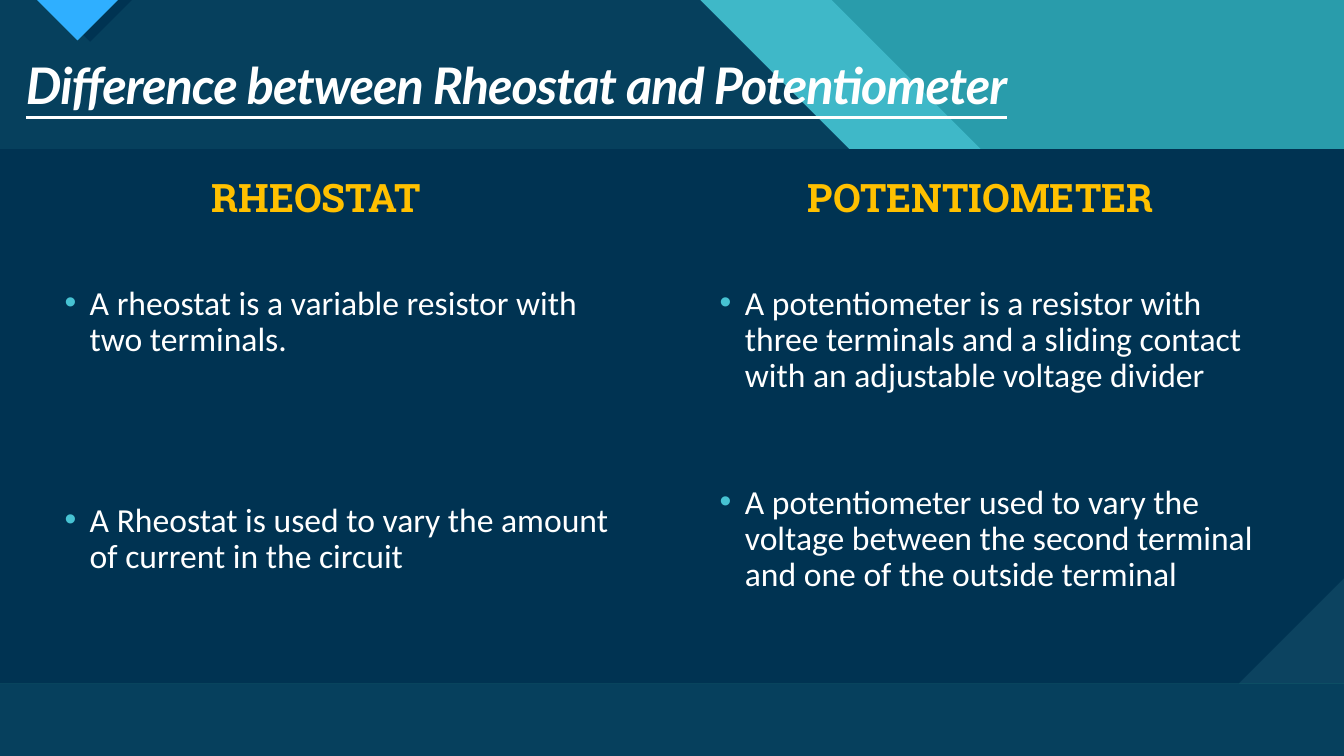
from lxml import etree
from pptx import Presentation
from pptx.dml.color import RGBColor
from pptx.enum.dml import MSO_PATTERN
from pptx.enum.shapes import MSO_SHAPE
from pptx.enum.text import MSO_ANCHOR, PP_ALIGN
from pptx.oxml.ns import qn
from pptx.util import Pt

RECTANGLE = MSO_SHAPE.RECTANGLE
SNIPPED = MSO_SHAPE.SNIP_1_RECTANGLE
DARK_VERTICAL = MSO_PATTERN.DARK_VERTICAL
DARK_HORIZONTAL = MSO_PATTERN.DARK_HORIZONTAL
MIDDLE = MSO_ANCHOR.MIDDLE
TOP = MSO_ANCHOR.TOP
LEFT = PP_ALIGN.LEFT
CENTER = PP_ALIGN.CENTER

WIDTH, HEIGHT = 960, 540
NAVY, TEAL, DEEP_TEAL, SHADE = "003352", "47C3D3", "299CAB", "1B6872"
SLATE, BLUE, GOLD, WHITE = "0C4360", "2FAFFF", "FFC000", "FFFFFF"

COLUMNS = [
    # heading, heading left, bullets left, gap between bullets, bullets
    ("RHEOSTAT", 82, 39, 103, [
        "A rheostat is a variable resistor with two terminals.",
        "A Rheostat is used to vary the amount of current in the circuit",
    ]),
    ("POTENTIOMETER", 556.5, 507, 64.3, [
        "A potentiometer is a resistor with three terminals and a sliding "
        "contact with an adjustable voltage divider",
        "A potentiometer used to vary the voltage between the second terminal "
        "and one of the outside terminal",
    ]),
]


def color(value):
    return RGBColor.from_string(value)


def paint(shape, fill, pattern=None, back=SHADE, opacity=100):
    """Fill a shape, solid or patterned, without outline or shadow."""
    shape.shadow.inherit = False
    shape.line.fill.background()
    if pattern:
        shape.fill.patterned()
        shape.fill.pattern = pattern
        shape.fill.fore_color.rgb = color(fill)
        shape.fill.back_color.rgb = color(back)
        return
    shape.fill.solid()
    shape.fill.fore_color.rgb = color(fill)
    if opacity < 100:
        tint = shape.fill._xPr.find(qn("a:solidFill"))[0]
        etree.SubElement(tint, qn("a:alpha")).set("val", str(opacity * 1000))


def add_preset(slide, kind, box):
    return slide.shapes.add_shape(kind, *map(Pt, box))


def add_polygon(slide, points):
    start, *others = [(Pt(x), Pt(y)) for x, y in points]
    builder = slide.shapes.build_freeform(*start)
    builder.add_line_segments(others, close=True)
    return builder.convert_to_shape()


def add_backdrop_layer(slide, box, shelf_start, shelf_end):
    """Cover the box, cut at 45 degrees above a shelf on its right side."""
    left, top, width, height = box
    right, bottom, drop = left + width, top + height, 214
    return add_polygon(slide, [
        (left, top), (left + shelf_start - drop, top),
        (left + shelf_start, top + drop), (left + shelf_end, top + drop),
        (right, top + drop + width - shelf_end), (right, bottom),
        (left, bottom),
    ])


def add_backdrop(slide, box):
    paint(add_preset(slide, RECTANGLE, box), DEEP_TEAL)
    paint(add_backdrop_layer(slide, box, 808, 888.5), TEAL, opacity=74)
    paint(add_backdrop_layer(slide, box, 714, 805), NAVY, opacity=90)


def add_pointer(slide, left, top, half):
    """Draw a triangle that hangs from the top edge."""
    return add_polygon(slide, [
        (left, top), (left + 2 * half, top), (left + half, top + half)])


def add_panel(slide, box):
    paint(add_preset(slide, RECTANGLE, box), SLATE, DARK_VERTICAL)
    panel = add_preset(slide, SNIPPED, box)
    panel.adjustments[0] = 0.197
    panel._element.spPr.xfrm.set("flipV", "1")
    paint(panel, NAVY)


def add_text_frame(slide, box, anchor=TOP):
    frame = slide.shapes.add_textbox(*map(Pt, box)).text_frame
    frame.word_wrap = True
    frame.vertical_anchor = anchor
    return frame


def write(paragraph, text, font_name, size, fill, alignment=LEFT):
    paragraph.alignment = alignment
    paragraph.line_spacing = 0.9
    run = paragraph.add_run()
    run.text = text
    run.font.name = font_name
    run.font.size = Pt(size)
    run.font.color.rgb = color(fill)
    return run


def add_bullet(paragraph):
    properties = paragraph._p.get_or_add_pPr()
    properties.set("marL", str(Pt(18)))
    properties.set("indent", str(-Pt(18)))
    bullet_color = etree.SubElement(properties, qn("a:buClr"))
    etree.SubElement(bullet_color, qn("a:srgbClr")).set("val", TEAL)
    etree.SubElement(properties, qn("a:buFont")).set("typeface", "Arial")
    etree.SubElement(properties, qn("a:buChar")).set("char", "•")


def add_title(slide, box, text):
    frame = add_text_frame(slide, box, MIDDLE)
    run = write(frame.paragraphs[0], text, "Lato", 36, WHITE)
    run.font.bold = run.font.italic = run.font.underline = True
    run.font._element.set("spc", "-70")


def add_heading(slide, box, text):
    frame = add_text_frame(slide, box)
    run = write(frame.paragraphs[0], text, "Roboto Slab", 28, GOLD, CENTER)
    run.font.bold = True


def add_bullets(slide, box, items, gap):
    frame = add_text_frame(slide, box)
    for index, item in enumerate(items):
        paragraph = frame.add_paragraph() if index else frame.paragraphs[0]
        add_bullet(paragraph)
        if index:
            paragraph.space_before = Pt(gap)
        write(paragraph, item, "Calibri", 24, WHITE)


def build_comparison_slide(presentation):
    slide = presentation.slides.add_slide(presentation.slide_layouts[6])
    slide.background.fill.solid()
    slide.background.fill.fore_color.rgb = color(TEAL)
    add_backdrop(slide, (0, 0, WIDTH, HEIGHT))
    paint(add_pointer(slide, 34.6, 0, 29.8), NAVY)
    paint(add_pointer(slide, 26.6, 0, 28.8), BLUE, DARK_HORIZONTAL)
    add_panel(slide, (0, 106.6, WIDTH, 381.6))
    add_title(slide, (11.5, 39.6, 883, 46.8),
              "Difference between Rheostat and Potentiometer")
    for heading, heading_left, bullets_left, gap, items in COLUMNS:
        add_heading(slide, (heading_left, 123.8, 288, 50.4), heading)
        add_bullets(slide, (bullets_left, 200.9, 414, 320.4), items, gap)


def main():
    presentation = Presentation()
    presentation.slide_width = Pt(WIDTH)
    presentation.slide_height = Pt(HEIGHT)
    build_comparison_slide(presentation)
    presentation.save("out.pptx")


if __name__ == "__main__":
    main()
